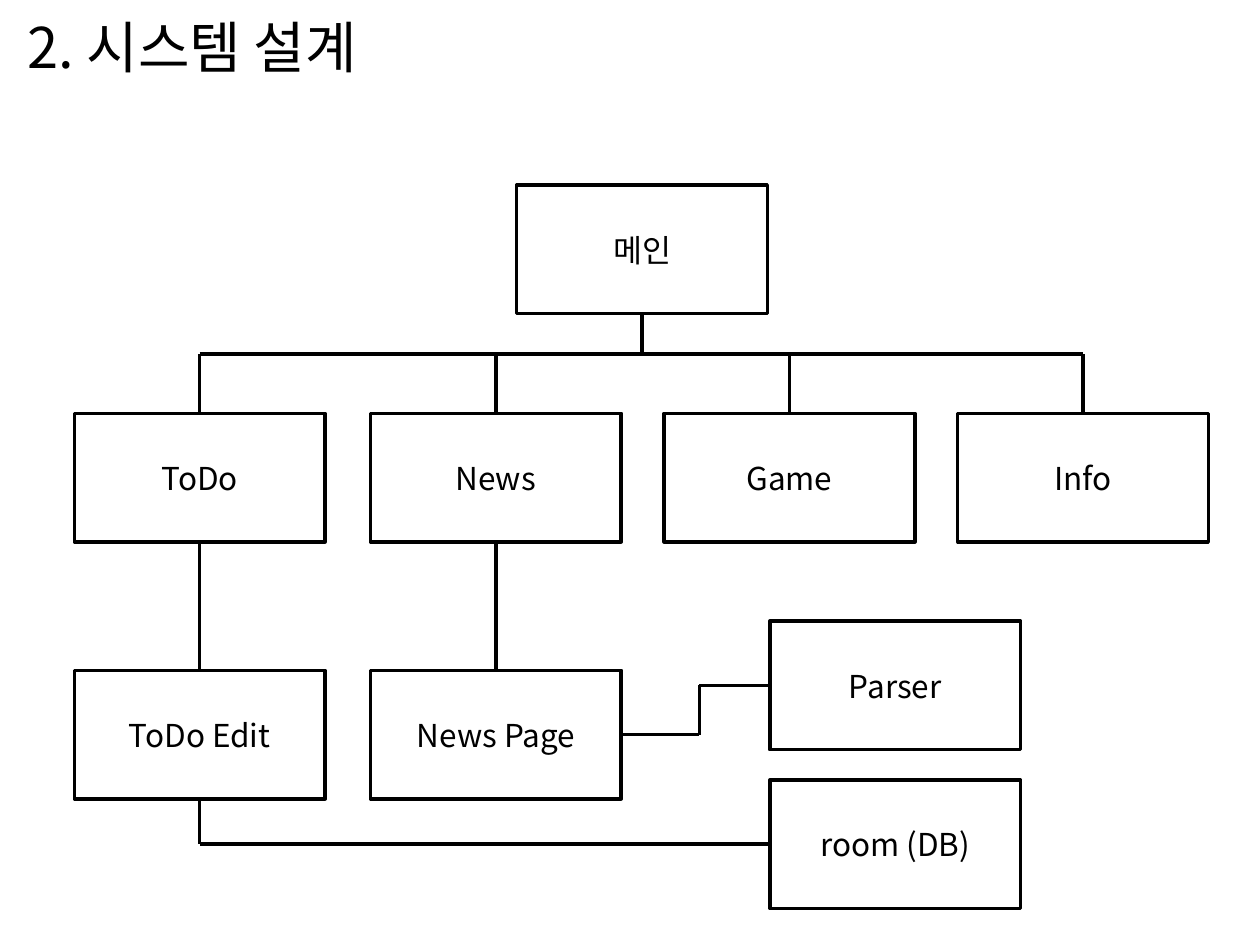
"""Build the system design slide with its screen hierarchy."""
from lxml import etree
from pptx import Presentation
from pptx.dml.color import RGBColor
from pptx.enum.shapes import MSO_CONNECTOR, MSO_SHAPE
from pptx.enum.text import MSO_ANCHOR, PP_ALIGN
from pptx.oxml.ns import qn
from pptx.util import Inches, Pt

RECTANGLE = MSO_SHAPE.RECTANGLE
STRAIGHT = MSO_CONNECTOR.STRAIGHT
MIDDLE = MSO_ANCHOR.MIDDLE
CENTER = PP_ALIGN.CENTER
LEFT = PP_ALIGN.LEFT
COLORS = {"ink": "000000"}
FONT = "Noto Sans CJK KR"
INK = RGBColor.from_string(COLORS["ink"])
LINE_WIDTH = Pt(2)


def add_text(paragraph, text, size=18, align=CENTER):
    paragraph.alignment = align
    run = paragraph.add_run()
    run.text = text
    run.font.size = Pt(size)
    run.font.name = FONT
    run.font.color.rgb = INK
    etree.SubElement(run._r.get_or_add_rPr(), qn("a:ea")).set("typeface", FONT)


presentation = Presentation()
presentation.slide_width = Inches(10)
presentation.slide_height = Inches(7.5)
slide = presentation.slides.add_slide(presentation.slide_layouts[6])

title = slide.shapes.add_textbox(Inches(0.12), Inches(0.05), Inches(7.98), Inches(1.18))
title.text_frame.word_wrap = True
add_text(title.text_frame.paragraphs[0], "2. 시스템 설계", size=32, align=LEFT)

box_width, box_height = 1.99, 1.02
columns = [0.59, 2.94, 5.27, 7.6]
centers = [left + box_width / 2 for left in columns]
main_left, main_top = 4.1, 1.47
menu_top, page_top = 3.28, 5.32
side_left, parser_top, room_top = 6.11, 4.93, 6.19

boxes = [("메인", main_left, main_top)]
boxes += [(name, left, menu_top) for name, left in zip(("ToDo", "News", "Game", "Info"), columns)]
boxes += [(name, left, page_top) for name, left in zip(("ToDo Edit", "News Page"), columns)]
boxes += [("Parser", side_left, parser_top), ("room (DB)", side_left, room_top)]

for name, left, top in boxes:
    shape = slide.shapes.add_shape(
        RECTANGLE, Inches(left), Inches(top), Inches(box_width), Inches(box_height))
    shape.shadow.inherit = False
    shape.fill.background()
    shape.line.color.rgb = INK
    shape.line.width = LINE_WIDTH
    shape.text_frame.word_wrap = True
    shape.text_frame.vertical_anchor = MIDDLE
    add_text(shape.text_frame.paragraphs[0], name)

bus_y = 2.81
elbow_x = 5.55
main_center = main_left + box_width / 2
page_middle = page_top + box_height / 2
parser_middle = parser_top + box_height / 2
room_middle = room_top + box_height / 2

lines = [
    (centers[0], bus_y, centers[-1], bus_y),
    (main_center, main_top + box_height, main_center, bus_y),
]
lines += [(center, bus_y, center, menu_top) for center in centers]
lines += [(center, menu_top + box_height, center, page_top) for center in centers[:2]]
lines += [
    (centers[0], page_top + box_height, centers[0], room_middle),
    (centers[0], room_middle, side_left, room_middle),
    (columns[1] + box_width, page_middle, elbow_x, page_middle),
    (elbow_x, page_middle, elbow_x, parser_middle),
    (elbow_x, parser_middle, side_left, parser_middle),
]

for line in lines:
    connector = slide.shapes.add_connector(STRAIGHT, *(Inches(value) for value in line))
    connector.line.color.rgb = INK
    connector.line.width = LINE_WIDTH
    etree.SubElement(connector._element.spPr, qn("a:effectLst"))

presentation.save("out.pptx")
